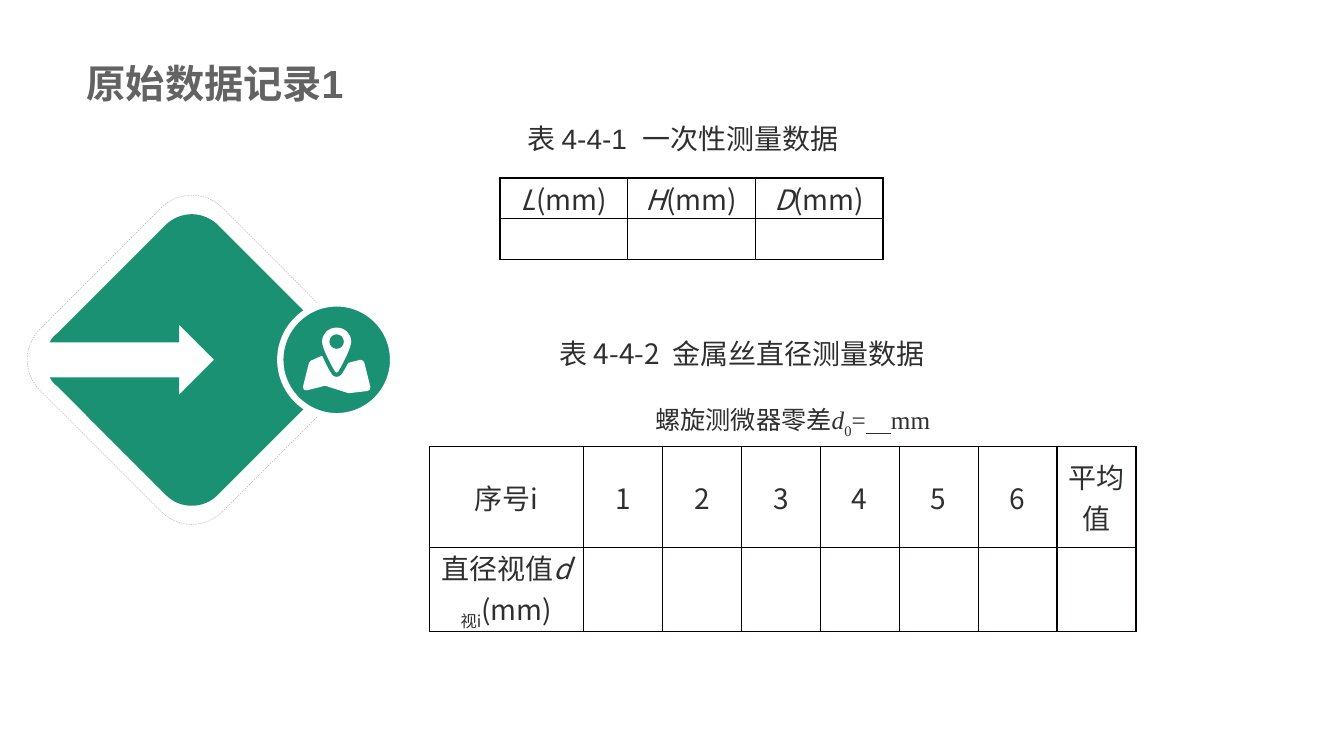
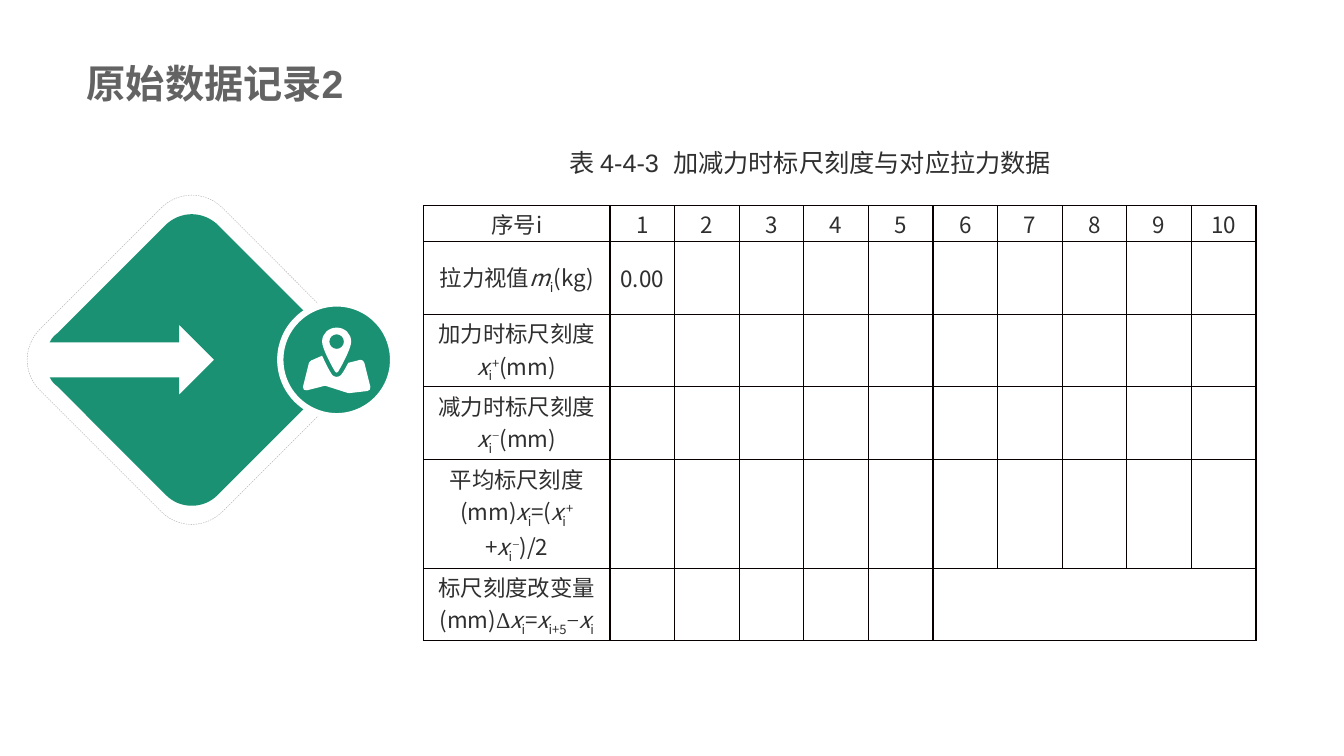
from dataclasses import dataclass

from lxml import etree
from pptx import Presentation
from pptx.dml.color import RGBColor
from pptx.enum.dml import MSO_LINE
from pptx.enum.shapes import MSO_SHAPE
from pptx.enum.text import MSO_ANCHOR, PP_ALIGN
from pptx.oxml.ns import qn
from pptx.util import Pt

CENTER, LEFT = PP_ALIGN.CENTER, PP_ALIGN.LEFT
MIDDLE, TOP, BOTTOM = MSO_ANCHOR.MIDDLE, MSO_ANCHOR.TOP, MSO_ANCHOR.BOTTOM
ROUNDED, OVAL = MSO_SHAPE.ROUNDED_RECTANGLE, MSO_SHAPE.OVAL
DASH = MSO_LINE.DASH


@dataclass(frozen=True)
class Theme:
    green: RGBColor = RGBColor(0x1A, 0x91, 0x73)
    white: RGBColor = RGBColor(0xFF, 0xFF, 0xFF)
    title: RGBColor = RGBColor(0x63, 0x63, 0x63)
    text: RGBColor = RGBColor(0x2F, 0x2F, 0x2F)
    outline: RGBColor = RGBColor(0xA6, 0xA6, 0xA6)
    border: str = "080000"
    sans: str = "Arial"
    chinese: str = "Noto Sans CJK SC"
    serif: str = "Times New Roman"
    title_size: int = 28
    large_size: int = 20
    medium_size: int = 18
    small_size: int = 16


THEME = Theme()


@dataclass(frozen=True)
class Part:
    """A piece of text that may differ from the font around it."""
    text: str
    font: str = ""
    italic: bool = False
    underline: bool = False
    baseline: int = 0


def variable(letter, font=""):
    return Part(letter, font, italic=True)


def subscript(text, font=""):
    return Part(text, font, baseline=-25000)


def superscript(text, font=""):
    return Part(text, font, baseline=30000)


X_I = (variable("x"), subscript("i"))
X_PLUS = (*X_I, superscript("+"))
X_MINUS = (*X_I, superscript("−", THEME.serif))

# Outlines in points around a centre: two numbers make a line, six a curve.
DIAMOND = [[
    (0, -104), (7, -104, 14, -101, 19, -96), (96, -19),
    (107, -8, 107, 8, 96, 19), (19, 96), (9, 107, -9, 107, -19, 96),
    (-96, 19), (-98, 18, -99, 16, -100, 15), (-101.5, 12.5), (-9, 12.5),
    (-9, 25), (16, 0), (-9, -25), (-9, -12.5), (-101.5, -12.5), (-100, -15),
    (-99, -16, -98, -18, -96, -19), (-19, -96),
    (-14, -101, -7, -104, 0, -104),
]]
MAP_PIN = [
    [(-10.4, -2.9), (-8.3, 1.4, -6.1, 6.5, -3.2, 10.8),
     (-2.5, 11.7, -1.1, 12.2, 0, 12.2), (1.1, 12.2, 2.5, 11.7, 3.2, 10.8),
     (5.4, 7.9, 6.8, 5, 8.3, 2.2), (16.9, 0),
     (18.4, 0, 19.3, 0.7, 19.8, 2.2), (24.1, 19.4),
     (24.3, 21, 23.4, 22, 22, 22.3), (9, 23.8), (7.6, 23.6), (-7.6, 18.7),
     (-9, 18.7), (-21.2, 21.8), (-23, 22.2, -24.4, 21, -24.1, 19.4),
     (-19.8, 2.2), (-19.5, 1.4, -19.1, 0.8, -18.4, 0.6)],
    [(0, -18.2), (-2.9, -18.2, -5.2, -15.9, -5.2, -13),
     (-5.2, -10.1, -2.9, -7.8, 0, -7.8), (2.9, -7.8, 5.2, -10.1, 5.2, -13),
     (5.2, -15.9, 2.9, -18.2, 0, -18.2)],
    [(0, -23), (5.8, -23, 10.4, -18.7, 10.4, -13),
     (10.4, -7.9, 3.2, 5, 1, 8.6), (0.4, 9.4, -0.4, 9.4, -1, 8.6),
     (-3.2, 5, -10.4, -7.9, -10.4, -13), (-10.4, -18.7, -5.8, -23, 0, -23)],
]


def bend_segments(shape, contours, units):
    """Turn the straight segments that stand for curves into Bézier curves."""
    geometry = shape._element.spPr
    first = geometry.find(f".//{qn('a:moveTo')}/{qn('a:pt')}")
    offset_x = int(first.get("x")) - contours[0][0][0] * units
    offset_y = int(first.get("y")) - contours[0][0][1] * units
    pieces = [piece for contour in contours for piece in contour[1:]]
    segments = list(geometry.iter(qn("a:lnTo")))
    for segment, piece in zip(segments, pieces):
        if len(piece) == 2:
            continue
        curve = etree.Element(qn("a:cubicBezTo"))
        for x, y in zip(piece[::2], piece[1::2]):
            etree.SubElement(curve, qn("a:pt"),
                             x=str(round(x * units + offset_x)),
                             y=str(round(y * units + offset_y)))
        segment.getparent().replace(segment, curve)


def add_outline(shapes, contours, center_x, center_y, color):
    units = 100
    paths = [[((center_x + piece[-2]) * units, (center_y + piece[-1]) * units)
              for piece in contour] for contour in contours]
    builder = shapes.build_freeform(*paths[0][0], scale=Pt(1) / units)
    for index, points in enumerate(paths):
        if index:
            builder.move_to(*points[0])
        builder.add_line_segments(points[1:], close=True)
    shape = builder.convert_to_shape()
    bend_segments(shape, contours, units)
    shape.shadow.inherit = False
    shape.fill.solid()
    shape.fill.fore_color.rgb = color
    shape.line.fill.background()


def add_centered(shapes, kind, center_x, center_y, size, line_color, line_width):
    shape = shapes.add_shape(kind, Pt(center_x - size / 2),
                             Pt(center_y - size / 2), Pt(size), Pt(size))
    shape.shadow.inherit = False
    shape.fill.background()
    shape.line.color.rgb = line_color
    shape.line.width = Pt(line_width)
    return shape


def add_emblem(slide, left, top, size):
    """Diamond with an arrow, and a round map badge on its right corner."""
    center_x, center_y = left + size / 2, top + size / 2
    badge_x = center_x + 103.5
    shapes = slide.shapes.add_group_shape().shapes
    frame = add_centered(shapes, ROUNDED, center_x, center_y, 184.3,
                         THEME.outline, 0.25)
    frame.rotation = 45
    frame.line.dash_style = DASH
    add_outline(shapes, DIAMOND, center_x, center_y, THEME.green)
    badge = add_centered(shapes, OVAL, badge_x, center_y, 80.6,
                         THEME.white, 4.5)
    badge.fill.solid()
    badge.fill.fore_color.rgb = THEME.green
    add_outline(shapes, MAP_PIN, badge_x, center_y, THEME.white)


def write(paragraph, content, size, font, color=THEME.text, bold=False,
          align=CENTER):
    """Fill a paragraph from a string or a sequence of strings and parts."""
    paragraph.alignment = align
    for item in (content,) if isinstance(content, str) else content:
        part = Part(item) if isinstance(item, str) else item
        run = paragraph.add_run()
        run.text = part.text
        run.font.size = Pt(size)
        run.font.bold = bold
        run.font.italic = part.italic
        run.font.underline = part.underline
        run.font.color.rgb = color
        run.font.name = part.font or font
        properties = run._r.get_or_add_rPr()
        if part.baseline:
            properties.set("baseline", str(part.baseline))
        east_asian = etree.Element(qn("a:ea"), typeface=THEME.chinese)
        properties.find(qn("a:latin")).addnext(east_asian)


def add_text_frame(slide, left, top, width, height, anchor=TOP):
    box = slide.shapes.add_textbox(Pt(left), Pt(top), Pt(width), Pt(height))
    box.text_frame.word_wrap = True
    box.text_frame.vertical_anchor = anchor
    return box.text_frame


def add_title(slide, text):
    frame = add_text_frame(slide, 55, 0, 850, 80, BOTTOM)
    paragraph = frame.paragraphs[0]
    paragraph.line_spacing = 0.9
    write(paragraph, text, THEME.title_size, THEME.sans, THEME.title,
          bold=True, align=LEFT)


def add_caption(slide, left, top, text, size):
    frame = add_text_frame(slide, left, top, 400, 32)
    write(frame.paragraphs[0], text, size, THEME.sans)


def add_caption_with_note(slide, left, top, caption, note):
    frame = add_text_frame(slide, left, top, 400, 106)
    heading, remark = frame.paragraphs[0], frame.add_paragraph()
    heading.line_spacing = remark.line_spacing = 2.0
    write(heading, caption, THEME.large_size, THEME.sans)
    write(remark, note, THEME.medium_size, THEME.sans)
    remark._p.get_or_add_pPr().set("marL", str(Pt(72)))


def set_borders(cell):
    properties = cell._tc.get_or_add_tcPr()
    for index, side in enumerate(("lnL", "lnR", "lnT", "lnB")):
        line = etree.Element(qn(f"a:{side}"), w=str(Pt(1)))
        fill = etree.SubElement(line, qn("a:solidFill"))
        etree.SubElement(fill, qn("a:srgbClr"), val=THEME.border)
        properties.insert(index, line)


def add_data_table(slide, left, top, column_widths, row_heights, rows, size):
    """Bordered table; cells missing at the end of a row stay empty."""
    table = slide.shapes.add_table(
        len(row_heights), len(column_widths), Pt(left), Pt(top),
        Pt(sum(column_widths)), Pt(sum(row_heights))).table
    table.first_row = table.horz_banding = False
    for column, width in zip(table.columns, column_widths):
        column.width = Pt(width)
    for row, height in zip(table.rows, row_heights):
        row.height = Pt(height)
    for cell in table.iter_cells():
        cell.margin_left = cell.margin_right = Pt(5)
        cell.margin_top = cell.margin_bottom = 0
        cell.vertical_anchor = MIDDLE
        cell.fill.background()
        set_borders(cell)
    for row_index, contents in enumerate(rows):
        for column_index, content in enumerate(contents):
            cell = table.cell(row_index, column_index)
            write(cell.text_frame.paragraphs[0], content, size, THEME.chinese)
    return table


def add_record_slide(presentation, title):
    slide = presentation.slides.add_slide(presentation.slide_layouts[6])
    add_title(slide, title)
    add_emblem(slide, 19.5, 139.5, 235)
    return slide


def build_single_and_diameter(presentation):
    slide = add_record_slide(presentation, "原始数据记录1")
    add_caption(slide, 288, 83.5, "表 4-4-1  一次性测量数据", THEME.large_size)
    single = [[(variable(letter), "(mm)") for letter in "LHD"]]
    add_data_table(slide, 357.2, 127.2, [91.2] * 3, [29] * 2, single,
                   THEME.large_size)
    add_caption_with_note(
        slide, 330.2, 213,
        ("表 ", Part("4-4-2  ", THEME.chinese), "金属丝直径测量数据"),
        ("螺旋测微器零差", variable("d", THEME.serif),
         subscript("0", THEME.serif), Part("=", THEME.serif),
         Part("　", THEME.chinese, underline=True), Part("mm", THEME.serif)))
    diameter = [
        ["序号i", *map(str, range(1, 7)), "平均值"],
        [("直径视值", variable("d"), subscript("视i"), "(mm)")],
    ]
    add_data_table(slide, 306.8, 318.8, [110] + [56.4] * 7, [72, 60], diameter,
                   THEME.large_size)


def build_scale_and_force(presentation):
    slide = add_record_slide(presentation, "原始数据记录2")
    add_caption(slide, 378.7, 101.5, "表 4-4-3  加减力时标尺刻度与对应拉力数据",
                THEME.medium_size)
    rows = [
        ["序号i", *map(str, range(1, 11))],
        [("拉力视值", variable("m"), subscript("i"), "(kg)"), "0.00"],
        [("加力时标尺刻度", *X_PLUS, "(mm)")],
        [("减力时标尺刻度", *X_MINUS, "(mm)")],
        [("平均标尺刻度(mm)", *X_I, "=(", *X_PLUS, "+", *X_MINUS, ")/2")],
        [("标尺刻度改变量(mm)", Part("Δ", THEME.serif), *X_I, "=",
          variable("x"), subscript("i+5"), Part("−", THEME.serif), *X_I)],
    ]
    table = add_data_table(slide, 302.5, 146.9, [133.2] + [46.15] * 10,
                           [25.9, 51.8, 51.8, 51.8, 77.8, 51.8], rows,
                           THEME.small_size)
    table.cell(5, 6).merge(table.cell(5, 10))


def main():
    presentation = Presentation()
    presentation.slide_width, presentation.slide_height = Pt(960), Pt(540)
    build_single_and_diameter(presentation)
    build_scale_and_force(presentation)
    presentation.save("out.pptx")


if __name__ == "__main__":
    main()
